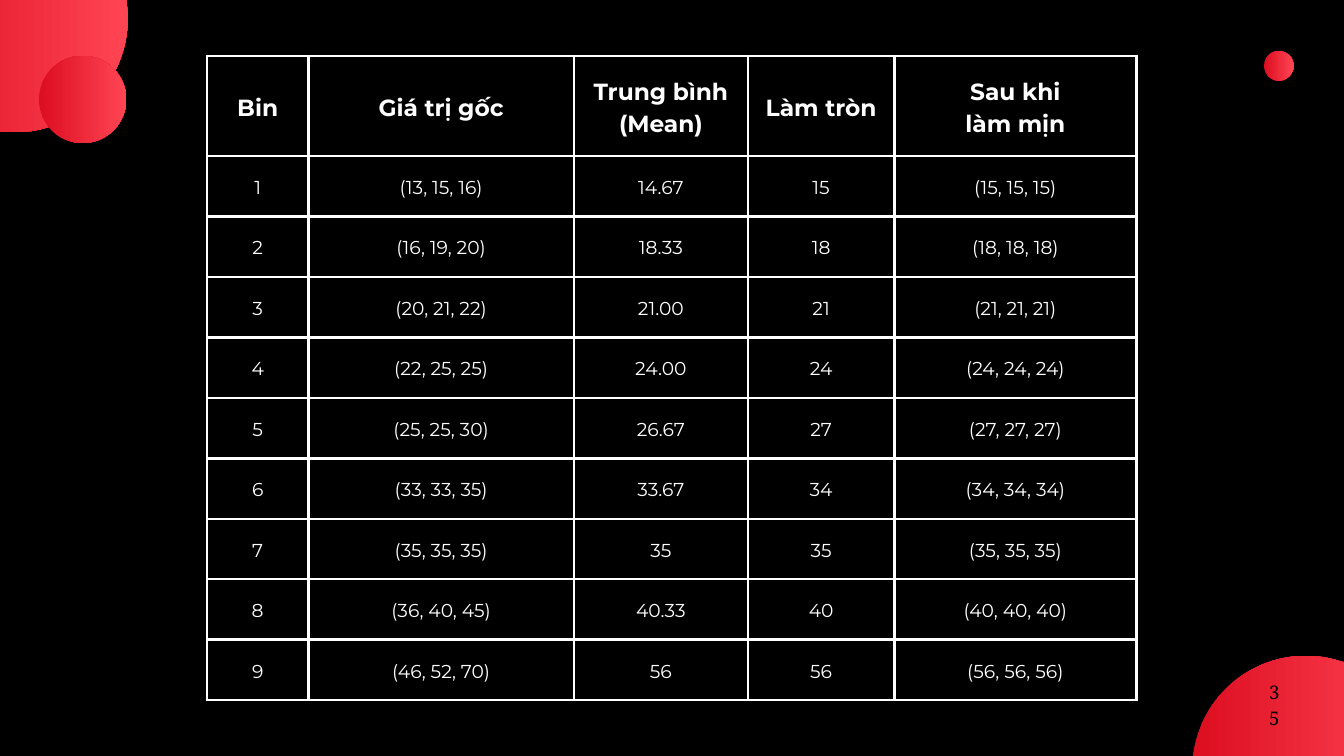
"""Build a slide with a table of bin smoothing by means."""
from typing import NamedTuple

from lxml import etree
from pptx import Presentation
from pptx import util as u
from pptx.dml.color import RGBColor
from pptx.enum import shapes, text
from pptx.oxml import ns

WHITE, BLACK = "FFFFFF", "000000"
RED, CORAL = "DC0E20", "FF4454"
SANS, SERIF = "Montserrat", "Noto Serif"


class Ball(NamedTuple):
    left: float
    top: float
    size: float


class Bin(NamedTuple):
    raw: str
    mean: str
    whole: int


class Style(NamedTuple):
    size: float
    lead: float
    face: str
    tint: str
    bold: bool = False


BALLS = [
    Ball(17.74, 9.76, 3.38),
    Ball(18.81, 0.76, 0.44),
    Ball(-1.48, -1.41, 3.38),
    Ball(0.58, 0.83, 1.3),
]
HEADS = ["Bin", "Giá trị gốc", "Trung bình\n(Mean)", "Làm tròn", "Sau khi\nlàm mịn"]
BINS = [
    Bin("13, 15, 16", "14.67", 15),
    Bin("16, 19, 20", "18.33", 18),
    Bin("20, 21, 22", "21.00", 21),
    Bin("22, 25, 25", "24.00", 24),
    Bin("25, 25, 30", "26.67", 27),
    Bin("33, 33, 35", "33.67", 34),
    Bin("35, 35, 35", "35", 35),
    Bin("36, 40, 45", "40.33", 40),
    Bin("46, 52, 70", "56", 56),
]
COLS = [1.51, 3.95, 2.59, 2.18, 3.6]
HEAD_H, ROW_H, PAD = 1.49, 0.9, 0.21
HEAD = Style(25, 35, SANS, WHITE, True)
BODY = Style(20, 28, SANS, WHITE)
PAGE = Style(20, 28, SERIF, BLACK)


def hue(code: str) -> RGBColor:
    return RGBColor.from_string(code)


def write(frame, words: str, style: Style) -> None:
    frame.text = words
    for para in frame.paragraphs:
        para.alignment = text.PP_ALIGN.CENTER
        para.line_spacing = u.Pt(style.lead)
        for run in para.runs:
            font = run.font
            font.name, font.size, font.bold = style.face, u.Pt(style.size), style.bold
            font.color.rgb = hue(style.tint)


def draw_ball(slide, ball: Ball) -> None:
    left, top, size = map(u.Inches, ball)
    shape = slide.shapes.add_shape(shapes.MSO_SHAPE.OVAL, left, top, size, size)
    shape.shadow.inherit = False
    shape.line.fill.background()
    shape.fill.gradient()
    shape.fill.gradient_angle = 0
    for stop, place, code in zip(shape.fill.gradient_stops, (0, 1), (RED, CORAL)):
        stop.position = place
        stop.color.rgb = hue(code)


def frame_cell(cell, code: str, width: float) -> None:
    props = cell._tc.get_or_add_tcPr()
    for side in ("lnL", "lnR", "lnT", "lnB"):
        line = etree.SubElement(props, ns.qn(f"a:{side}"), w=str(u.Pt(width)))
        fill = etree.SubElement(line, ns.qn("a:solidFill"))
        etree.SubElement(fill, ns.qn("a:srgbClr"), val=code)


def draw_cell(cell, words: str, style: Style) -> None:
    frame_cell(cell, WHITE, 3)
    cell.fill.background()
    cell.margin_left = cell.margin_right = u.Inches(PAD)
    cell.margin_top = cell.margin_bottom = u.Inches(PAD)
    cell.vertical_anchor = text.MSO_ANCHOR.MIDDLE
    write(cell.text_frame, words, style)


def draw_table(slide, left: float, top: float) -> None:
    rows = [HEADS]
    for num, item in enumerate(BINS, 1):
        n = item.whole
        rows.append([str(num), f"({item.raw})", item.mean, str(n), f"({n}, {n}, {n})"])
    high = HEAD_H + ROW_H * len(BINS)
    table = slide.shapes.add_table(
        len(rows), len(COLS), u.Inches(left), u.Inches(top),
        u.Inches(sum(COLS)), u.Inches(high)).table
    table.first_row = table.horz_banding = False
    for col, width in zip(table.columns, COLS):
        col.width = u.Inches(width)
    for r, row in enumerate(rows):
        table.rows[r].height = u.Inches(ROW_H if r else HEAD_H)
        for c, words in enumerate(row):
            draw_cell(table.cell(r, c), words, BODY if r else HEAD)


def draw_page(slide, words: str) -> None:
    box = slide.shapes.add_textbox(
        u.Inches(18.88), u.Inches(10.07), u.Inches(0.17), u.Inches(0.22))
    frame = box.text_frame
    frame.word_wrap = True
    frame.margin_left = frame.margin_right = 0
    frame.margin_top = frame.margin_bottom = 0
    write(frame, words, PAGE)


def main() -> None:
    deck = Presentation()
    deck.slide_width, deck.slide_height = u.Inches(20), u.Inches(11.25)
    slide = deck.slides.add_slide(deck.slide_layouts[6])
    slide.background.fill.solid()
    slide.background.fill.fore_color.rgb = hue(BLACK)
    for ball in BALLS:
        draw_ball(slide, ball)
    draw_table(slide, 3.08, 0.83)
    draw_page(slide, "35")
    deck.save("out.pptx")


if __name__ == "__main__":
    main()
